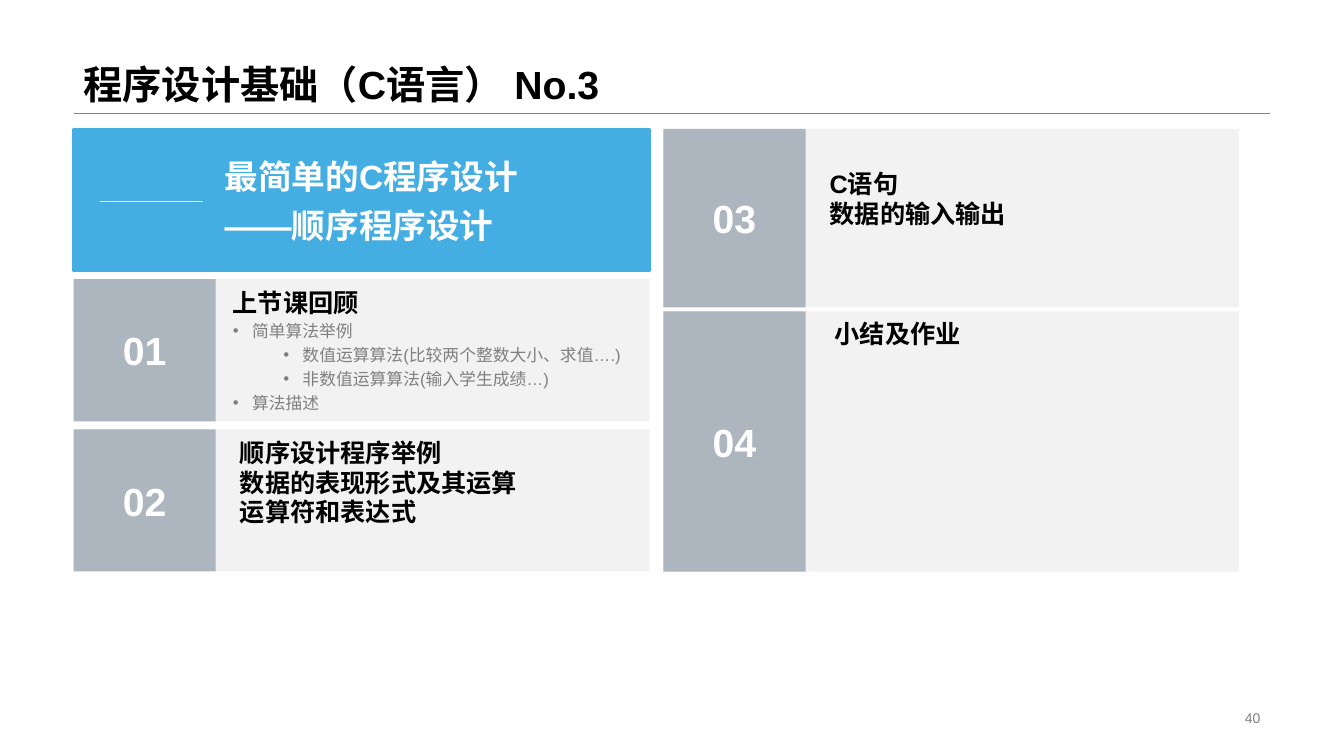
from math import cos, pi, sin

from lxml.etree import SubElement
from pptx import Presentation
from pptx.dml.color import RGBColor
from pptx.enum.shapes import MSO_CONNECTOR as LINK, MSO_SHAPE as SHAPE
from pptx.enum.text import MSO_ANCHOR as ANCHOR, MSO_AUTO_SIZE as FIT, PP_ALIGN as ALIGN
from pptx.oxml.ns import qn
from pptx.util import Inches, Pt

FACE = "Arial"
BLACK, WHITE, GRAY = "000000", "FFFFFF", "808080"
BLUE, SLATE, PALE = "44ADE1", "ADB5BF", "F2F2F2"
LEFT, RIGHT = 0.73, 6.58  # columns
WIDE, TAB = 5.71, 1.41  # card and number tab
TOP, ROW, STEP = 1.28, 1.41, 1.49  # rows of the left column


def write(shape, text, size=18, color=BLACK, bold=True, align=ALIGN.LEFT,
          anchor=ANCHOR.TOP, space=1.0, wrap=True, bullet=False):
    """Fill a shape with one paragraph per line; a leading tab means level two."""
    frame = shape.text_frame
    frame.word_wrap, frame.auto_size = wrap, FIT.NONE
    frame.vertical_anchor = anchor
    for i, line in enumerate(text.split("\n")):
        para = frame.add_paragraph() if i else frame.paragraphs[0]
        para.level = line.count("\t")
        para.alignment, para.line_spacing = align, space
        para.space_before = Pt(0)
        if bullet:
            props = para._p.get_or_add_pPr()
            props.set("marL", str(Inches(0.19 + 0.5 * para.level)))
            props.set("indent", str(Inches(-0.19)))
            SubElement(props, qn("a:buFont"), typeface=FACE)
            SubElement(props, qn("a:buChar"), char="•")
        run = para.add_run()
        run.text = line.strip("\t")
        font = run.font
        font.size, font.bold, font.name = Pt(size), bold, FACE
        font.color.rgb = RGBColor.from_string(color)
        SubElement(run._r.get_or_add_rPr(), qn("a:ea"), typeface=FACE)


def block(x, y, w, h, color):
    """Add a flat rectangle without outline."""
    rect = shapes.add_shape(SHAPE.RECTANGLE, *map(Inches, (x, y, w, h)))
    rect.shadow.inherit = False
    rect.fill.solid()
    rect.fill.fore_color.rgb = RGBColor.from_string(color)
    rect.line.fill.background()
    return rect


deck = Presentation()
deck.slide_width, deck.slide_height = Inches(13.33), Inches(7.5)
slide = deck.slides.add_slide(deck.slide_layouts[1])
shapes = slide.shapes

# Title, rule and page number
title = shapes.title
title.left, title.top, title.width, title.height = map(Inches, (LEFT, 0, 11.87, 1.12))
write(title, "程序设计基础（C语言） No.3", size=28, anchor=ANCHOR.BOTTOM, space=0.9)
rule = shapes.add_connector(LINK.STRAIGHT, *map(Inches, (LEFT, 1.12, 12.6, 1.12)))
rule.line.width = Pt(0.25)
rule.line.color.rgb = RGBColor.from_string(GRAY)
SubElement(rule._element.spPr, qn("a:effectLst"))
page = shapes.add_textbox(*map(Inches, (9.42, 7.01, 3.18, 0.23)))
write(page, "40", size=10, color=GRAY, bold=False, align=ALIGN.RIGHT, anchor=ANCHOR.MIDDLE)

# Banner
banner = block(LEFT, TOP, WIDE, ROW, BLUE)
banner.line.color.rgb = RGBColor.from_string(BLUE)
banner.line.width = Pt(2)

# Numbered cards
cards = [
    ("01", LEFT, TOP + STEP, ROW),
    ("02", LEFT, TOP + 2 * STEP, ROW),
    ("03", RIGHT, TOP, 1.77),
    ("04", RIGHT, 3.09, 2.58),
]
for num, x, y, h in cards:
    block(x, y, WIDE, h, PALE)
    write(block(x, y, TAB, h, SLATE), num, size=28, color=WHITE,
          align=ALIGN.CENTER, anchor=ANCHOR.MIDDLE)

# Headings
heads = [
    ("上节课回顾", 2.21, 2.8, 0.4),
    ("顺序设计程序举例\n数据的表现形式及其运算", 2.28, 4.29, 0.71),
    ("运算符和表达式", 2.28, 4.87, 0.4),
    ("C语句\n数据的输入输出", 8.13, 1.62, 0.71),
    ("小结及作业", 8.18, 3.11, 0.4),
]
for text, x, y, h in heads:
    write(shapes.add_textbox(*map(Inches, (x, y, 3.91, h))), text)
topic = shapes.add_textbox(*map(Inches, (2.13, 1.45, 4.06, 1.03)))
write(topic, "最简单的C程序设计\n——顺序程序设计", size=24, color=WHITE,
      anchor=ANCHOR.BOTTOM, space=1.2)

# Review list, brought in front of its card
review = slide.placeholders[1]
review.left, review.top, review.width, review.height = map(Inches, (2.21, 3.09, 4.22, 1.09))
write(review, "简单算法举例\n\t数值运算算法(比较两个整数大小、求值….)\n"
      "\t非数值运算算法(输入学生成绩…)\n算法描述",
      size=12, color=GRAY, bold=False, space=1.2, wrap=False, bullet=True)
shapes.element.append(review.element)

# Page icon: sheet, folded corner and letter P
bowl = [(1.49 + 0.05 * sin(pi * k / 12), 1.98 - 0.05 * cos(pi * k / 12)) for k in range(13)]
strokes = [
    [(1.25, 1.75), (1.54, 1.75), (1.68, 1.87), (1.68, 2.23), (1.25, 2.23), (1.25, 1.75)],
    [(1.54, 1.75), (1.54, 1.87), (1.68, 1.87)],
    [(1.4, 2.12), (1.4, 1.93), *bowl, (1.4, 2.03)],
]
pen = shapes.build_freeform(*strokes[0][0], scale=Inches(1))
for i, (start, *rest) in enumerate(strokes):
    if i:
        pen.move_to(*start)
    pen.add_line_segments(rest, close=False)
icon = pen.convert_to_shape()
icon.shadow.inherit = False
icon.fill.background()
icon.line.color.rgb = RGBColor.from_string(WHITE)
icon.line.width = Pt(1.25)

deck.save("out.pptx")
